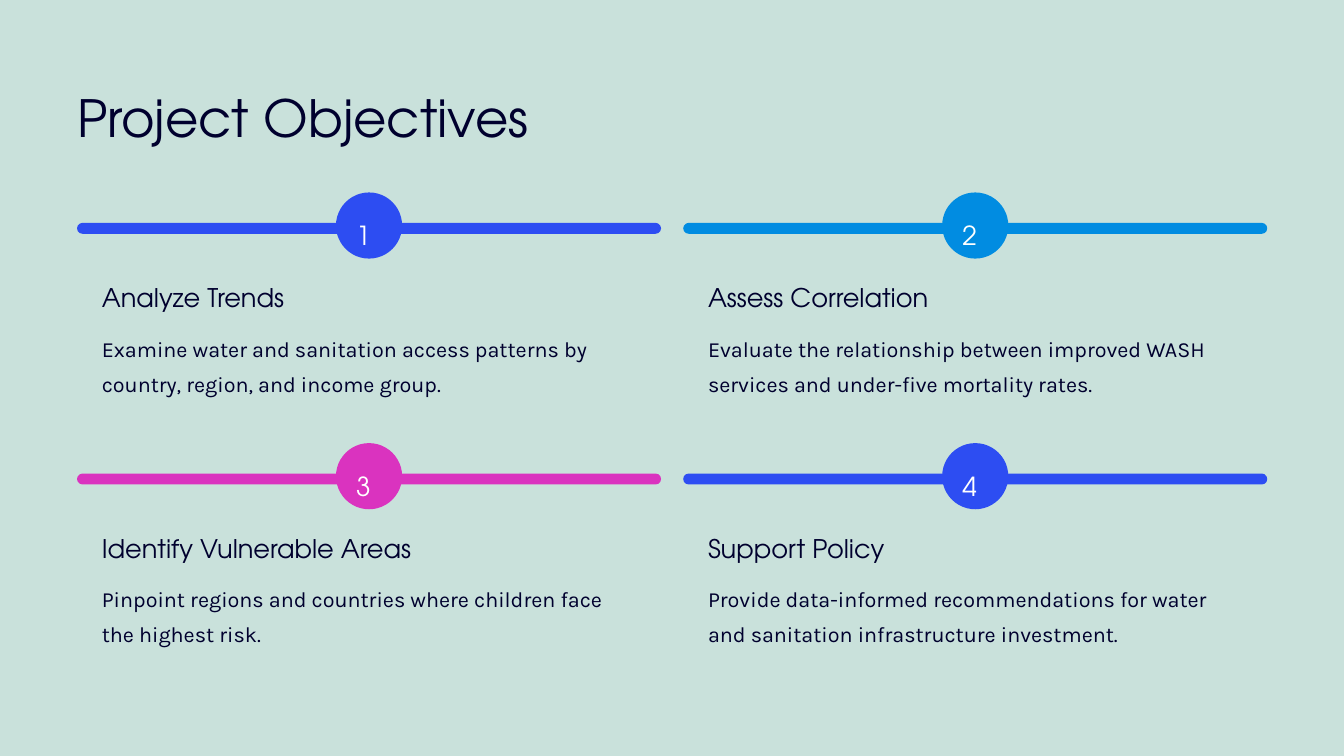
from dataclasses import dataclass

from pptx import Presentation
from pptx.dml.color import RGBColor
from pptx.enum.shapes import MSO_SHAPE
from pptx.enum.text import MSO_ANCHOR, MSO_AUTO_SIZE, PP_ALIGN
from pptx.util import Cm, Pt

ROUND_RECT, OVAL = MSO_SHAPE.ROUNDED_RECTANGLE, MSO_SHAPE.OVAL
TOP, LEFT, NO_FIT = MSO_ANCHOR.TOP, PP_ALIGN.LEFT, MSO_AUTO_SIZE.NONE
TITLE_ONLY = 5


@dataclass(frozen=True)
class Theme:
    background: str = "C9E1DB"
    ink: str = "00002E"
    white: str = "FFFFFF"
    blue: str = "2D4DF2"
    sky: str = "018CE1"
    pink: str = "DA33BF"
    display: str = "TeX Gyre Adventor"
    text: str = "Karla"
    # Type size and line spacing in points
    title: tuple = (44, 55)
    number: tuple = (22.5, 36)
    heading: tuple = (22, 27.5)
    body: tuple = (18.5, 30)


class Deck:
    def __init__(self, prs, theme):
        self.theme = theme
        self.s = prs.slides.add_slide(prs.slide_layouts[TITLE_ONLY])
        fill = self.s.background.fill
        fill.solid()
        fill.fore_color.rgb = RGBColor.from_string(theme.background)

    def set_text(self, sp, text, size, font, color, wrap=False):
        tf = sp.text_frame
        frame = dict(margin_left=0, margin_top=0, margin_right=0, margin_bottom=0,
                     word_wrap=wrap, auto_size=NO_FIT, vertical_anchor=TOP)
        for name, value in frame.items():
            setattr(tf, name, value)
        p = tf.paragraphs[0]
        points, spacing = size
        for name, value in dict(alignment=LEFT, line_spacing=Pt(spacing), space_before=Pt(0)).items():
            setattr(p, name, value)
        r = p.add_run()
        r.text = text
        for name, value in dict(size=Pt(points), name=font).items():
            setattr(r.font, name, value)
        r.font.color.rgb = RGBColor.from_string(color)

    def title(self, text, left, top, width, height):
        sp = self.s.shapes.title
        box = dict(left=left, top=top, width=width, height=height)
        for name, value in box.items():
            setattr(sp, name, Cm(value))
        self.set_text(sp, text, self.theme.title, self.theme.display, self.theme.ink)

    def label(self, text, box, size, font, color, wrap=False):
        sp = self.s.shapes.add_textbox(*map(Cm, box))
        self.set_text(sp, text, size, font, color, wrap)

    def shape(self, kind, box, color):
        sp = self.s.shapes.add_shape(kind, *map(Cm, box))
        sp.shadow.inherit = False
        sp.fill.solid()
        sp.fill.fore_color.rgb = RGBColor.from_string(color)
        sp.line.fill.background()
        return sp

    def objective(self, number, heading, body, color, x, y):
        t = self.theme
        # Bar with numbered circle
        bar = self.shape(ROUND_RECT, (x, y, 17.66, 0.33), color)
        bar.adjustments[0] = 0.5
        self.shape(OVAL, (x + 7.83, y - 0.92, 2, 2), color)
        self.label(str(number), (x + 8.44, y - 0.42, 0.79, 1), t.number, t.display, t.white)
        # Heading and description
        self.label(heading, (x + 0.75, y + 1.75, 9.07, 0.97), t.heading, t.display, t.ink)
        self.label(body, (x + 0.75, y + 3.13, 16.15, 2.13), t.body, t.text, t.ink, wrap=True)


def main():
    prs = Presentation()
    prs.slide_width, prs.slide_height = Cm(40.64), Cm(22.86)
    theme = Theme()
    deck = Deck(prs, theme)
    deck.title("Project Objectives", 2.33, 2.54, 15.65, 1.96)

    # Two-by-two grid of objectives
    objectives = [
        ("Analyze Trends",
         "Examine water and sanitation access patterns by country, region, and income group.",
         theme.blue),
        ("Assess Correlation",
         "Evaluate the relationship between improved WASH services and under-five mortality rates.",
         theme.sky),
        ("Identify Vulnerable Areas",
         "Pinpoint regions and countries where children face the highest risk.",
         theme.pink),
        ("Support Policy",
         "Provide data-informed recommendations for water and sanitation infrastructure investment.",
         theme.blue),
    ]
    left, top, column_pitch, row_pitch = 2.33, 6.74, 18.33, 7.58
    for i, (heading, body, color) in enumerate(objectives):
        row, column = divmod(i, 2)
        deck.objective(i + 1, heading, body, color,
                       left + column * column_pitch, top + row * row_pitch)

    prs.save("out.pptx")


if __name__ == "__main__":
    main()
